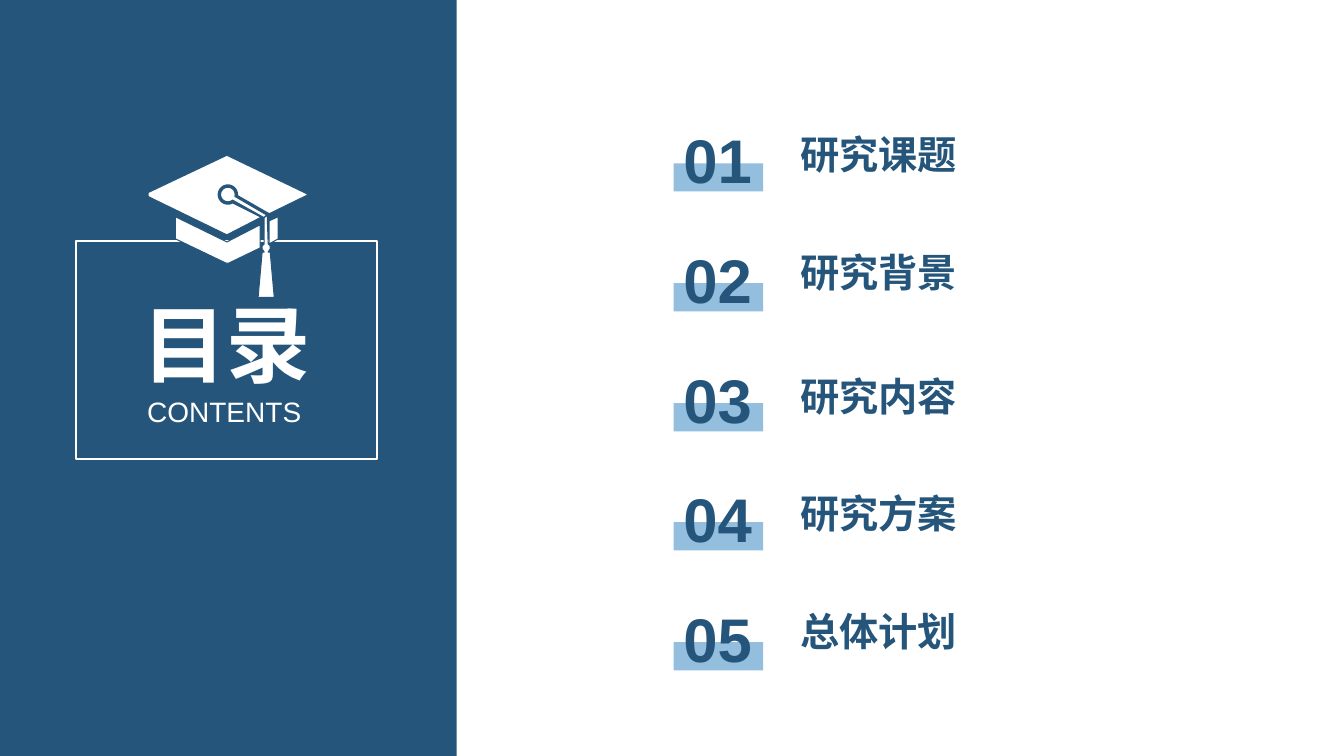
"""Build the contents slide with its graduation cap and five numbered topics."""
import math

import lxml.etree
import pptx
import pptx.dml.color
import pptx.enum.shapes
import pptx.enum.text
import pptx.oxml.ns
import pptx.util

NAVY = pptx.dml.color.RGBColor(0x25, 0x55, 0x7A)
SKY = pptx.dml.color.RGBColor(0x93, 0xBE, 0xDE)
WHITE = pptx.dml.color.RGBColor(0xFF, 0xFF, 0xFF)
LATIN = "Arial"
HAN = "Noto Sans CJK SC"
PX = 9144


def arc(radius, start, stop):
    steps = 32
    turns = [math.radians(start + (stop - start) * i / steps) for i in range(steps + 1)]
    return [(226 + radius * math.cos(t), 193 + radius * math.sin(t)) for t in turns]


STUB = [(267, 242), (276, 237), (276, 215), (267, 219)]
BAND = [(174, 215), (174, 237), (222, 260), (224, 261), (227, 261), (229, 260),
        (258, 246), (258, 223), (225, 240)]
CORD = [(265, 213), (264, 213), *arc(7.2, 15, -310), (262, 216)]
BOARD = [(306, 193), (225, 154), (147, 191), (147, 195), (225, 233), (258, 216),
         (258, 215), *arc(9.6, 60, 366), (267, 212)]
TASSEL = [(265, 213), (266, 242), (268, 244), (268, 247), (266, 250), (268, 250),
          (272, 295), (256, 295), (260, 250), (262, 250), (260, 247), (260, 244),
          (262, 242), (262, 216)]
TOPICS = [("研究课题", 124), ("研究背景", 241), ("研究内容", 364),
          ("研究方案", 480), ("总体计划", 597)]


class Deck:
    def __init__(self, wide, high):
        self.show = pptx.Presentation()
        self.show.slide_width = wide * PX
        self.show.slide_height = high * PX
        self.slide = self.show.slides.add_slide(self.show.slide_layouts[5])
        self.shapes = self.slide.shapes

    def paint(self, shape, fill=None, line=None, weight=1):
        shape.shadow.inherit = False
        if fill is None:
            shape.fill.background()
        else:
            shape.fill.solid()
            shape.fill.fore_color.rgb = fill
        if line is None:
            shape.line.fill.background()
        else:
            shape.line.color.rgb = line
            shape.line.width = pptx.util.Pt(weight)

    def rect(self, left, top, wide, high, **style):
        kind = pptx.enum.shapes.MSO_SHAPE.RECTANGLE
        shape = self.shapes.add_shape(kind, left * PX, top * PX, wide * PX, high * PX)
        self.paint(shape, **style)

    def outline(self, rings, **style):
        pen = self.shapes.build_freeform(*[n * PX for n in rings[0][0]], scale=1.0)
        for i, ring in enumerate(rings):
            points = [(x * PX, y * PX) for x, y in ring]
            if i:
                pen.move_to(*points[0])
            pen.add_line_segments(points[1:], close=True)
        self.paint(pen.convert_to_shape(), **style)

    def letter(self, frame, text, size, font, color, bold, wrap=False):
        frame.text = text
        frame.word_wrap = wrap
        frame.auto_size = pptx.enum.text.MSO_AUTO_SIZE.NONE
        frame.vertical_anchor = pptx.enum.text.MSO_ANCHOR.MIDDLE
        run = frame.paragraphs[0].runs[0]
        run.font.size = pptx.util.Pt(size)
        run.font.bold = bold
        run.font.color.rgb = color
        run.font.name = font
        props = run.font._element
        east = lxml.etree.SubElement(props, pptx.oxml.ns.qn("a:ea"))
        east.set("typeface", font)

    def text(self, left, top, wide, high, text, size, font, color, bold=True):
        box = self.shapes.add_textbox(left * PX, top * PX, wide * PX, high * PX)
        self.letter(box.text_frame, text, size, font, color, bold)

    def title(self, left, top, wide, high, text, size, font, color):
        box = self.shapes.title
        box.left, box.top = left * PX, top * PX
        box.width, box.height = wide * PX, high * PX
        self.letter(box.text_frame, text, size, font, color, True, wrap=True)
        box.text_frame.paragraphs[0].alignment = pptx.enum.text.PP_ALIGN.CENTER
        box._element.getparent().append(box._element)


def main():
    deck = Deck(1333, 750)
    deck.rect(-5, 0, 458, 750, fill=NAVY)
    deck.rect(75, 239, 299, 216, line=WHITE, weight=1.5)
    deck.title(62, 285, 325, 111, "目录", 60, HAN, WHITE)
    deck.outline([STUB, BAND, CORD, BOARD, TASSEL], fill=WHITE, line=NAVY, weight=0.75)
    deck.text(136, 386, 175, 44, "CONTENTS", 20, LATIN, WHITE, bold=False)
    for i, (topic, top) in enumerate(TOPICS):
        deck.text(784, top, 175, 57, topic, 28, HAN, NAVY)
        row = round(116 + 118.75 * i)
        deck.rect(668, row + 46, 89, 28, fill=SKY)
        deck.text(668, row, 89, 84, f"{i + 1:02d}", 44, LATIN, NAVY)
    deck.show.save("out.pptx")


if __name__ == "__main__":
    main()
